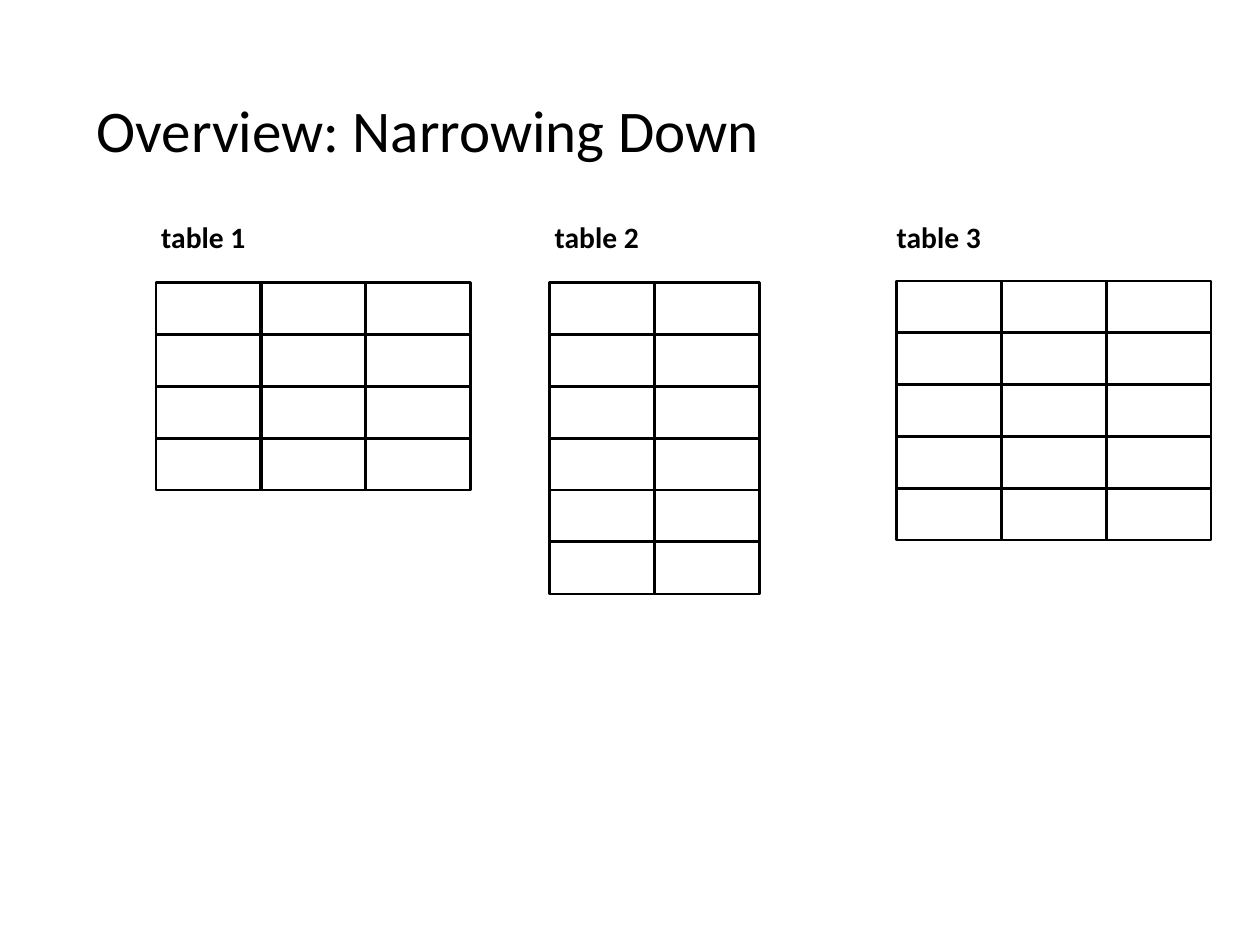
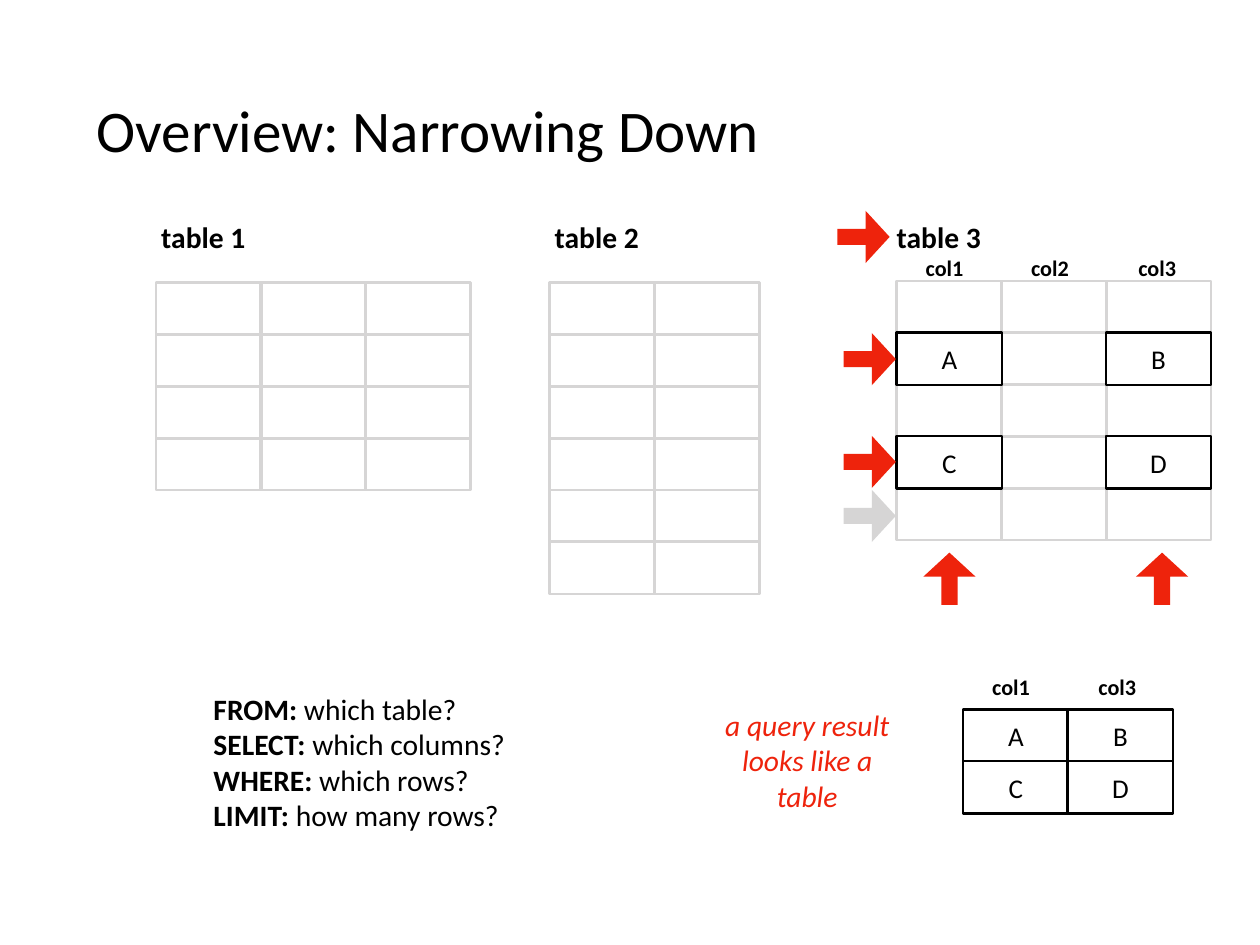
import itertools

import pptx
import pptx.dml.color
import pptx.enum.shapes
import pptx.enum.text
import pptx.util
from pptx.util import Inches

# Shared style
FONT = "Calibri"
COLORS = {"black": "000000", "white": "FFFFFF", "gray": "D6D5D5", "red": "EE230C"}
TITLE = "Overview: Narrowing Down"
CELL_SIZE = (1.19, 0.59)
COLUMN_STEP = 1.18
ROW_STEP = 1.17 / 2
LABEL_TOP = 2.42
ARROW_SIZE = 0.59
INSET = 0.06
LEFT = pptx.enum.text.PP_ALIGN.LEFT
CENTER = pptx.enum.text.PP_ALIGN.CENTER
TOP = pptx.enum.text.MSO_ANCHOR.TOP
MIDDLE = pptx.enum.text.MSO_ANCHOR.MIDDLE
RECTANGLE = pptx.enum.shapes.MSO_SHAPE.RECTANGLE
RIGHT_ARROW = pptx.enum.shapes.MSO_SHAPE.RIGHT_ARROW

# Source tables: label, label left, table left, table top, rows, columns
SOURCE_TABLES = [
    ("table 1", 1.76, 1.76, 3.19, 4, 3),
    ("table 2", 6.2, 6.2, 3.19, 6, 2),
    ("table 3", 10.06, 10.12, 3.17, 5, 3),
]

# Query content: values by (row, column)
SELECTED = {"table 3": {(1, 0): "A", (1, 2): "B", (3, 0): "C", (3, 2): "D"}}
RESULT = {(0, 0): "A", (0, 1): "B", (1, 0): "C", (1, 1): "D"}
CLAUSES = [
    ("FROM:", " which table?"),
    ("SELECT:", " which columns?"),
    ("WHERE:", " which rows?"),
    ("LIMIT:", " how many rows?"),
]
RESULT_NOTE = ["a query result", "looks like a table"]

# Column labels: text, left, top
COLUMN_LABELS = [
    ("col1", 10.34, 2.82), ("col2", 11.53, 2.82), ("col3", 12.74, 2.82),
    ("col1", 11.09, 7.55), ("col3", 12.29, 7.55),
]

# Arrows: left, top, rotation, colour
ARROWS = [
    (9.45, 2.38, 0, "red"),
    (10.42, 6.24, 270, "red"),
    (12.82, 6.24, 270, "red"),
    (9.52, 3.76, 0, "red"),
    (9.52, 4.92, 0, "red"),
    (9.52, 5.53, 0, "gray"),
]


def color_of(name):
    return pptx.dml.color.RGBColor.from_string(COLORS[name])


def fill_frame(frame, lines, size, align=LEFT, anchor=MIDDLE,
               color="black", italic=False):
    """Write lines, each a list of (text, bold) runs."""
    frame.word_wrap = True
    frame.auto_size = pptx.enum.text.MSO_AUTO_SIZE.NONE
    frame.vertical_anchor = anchor
    frame.margin_left = frame.margin_right = Inches(INSET)
    frame.margin_top = frame.margin_bottom = Inches(INSET)
    for index, line in enumerate(lines):
        paragraph = frame.add_paragraph() if index else frame.paragraphs[0]
        paragraph.alignment = align
        for text, bold in line:
            run = paragraph.add_run()
            run.text = text
            run.font.name = FONT
            run.font.size = pptx.util.Pt(size)
            run.font.bold = bold
            run.font.italic = italic
            run.font.color.rgb = color_of(color)


def add_text(slide, box, lines, size, **style):
    shape = slide.shapes.add_textbox(*map(Inches, box))
    fill_frame(shape.text_frame, lines, size, **style)


def add_shape(slide, kind, box, fill=None, line=None):
    shape = slide.shapes.add_shape(kind, *map(Inches, box))
    shape.shadow.inherit = False
    if fill:
        shape.fill.solid()
        shape.fill.fore_color.rgb = color_of(fill)
    else:
        shape.fill.background()
    if line:
        shape.line.color.rgb = color_of(line)
        shape.line.width = pptx.util.Pt(2)
    else:
        shape.line.fill.background()
    return shape


def add_grid(slide, left, top, rows, columns, line, values):
    """Draw empty cells first, so the black cells with values lie on top."""
    positions = itertools.product(range(rows), range(columns))
    for row, column in sorted(positions, key=lambda position: position in values):
        box = (left + column * COLUMN_STEP, top + row * ROW_STEP, *CELL_SIZE)
        if (row, column) in values:
            cell = add_shape(slide, RECTANGLE, box, "white", "black")
            fill_frame(cell.text_frame, [[(values[row, column], False)]], 22, CENTER)
        else:
            add_shape(slide, RECTANGLE, box, line=line)


def add_arrow(slide, left, top, rotation, color):
    box = (left, top, ARROW_SIZE, ARROW_SIZE)
    arrow = add_shape(slide, RIGHT_ARROW, box, color)
    arrow.adjustments[0] = 0.31
    arrow.adjustments[1] = 0.46
    arrow.rotation = rotation


def add_overview(presentation, line, selected):
    """Add a slide with the title and the three labelled source tables."""
    slide = presentation.slides.add_slide(presentation.slide_layouts[5])
    title = slide.shapes.title
    title.left, title.top, title.width, title.height = map(
        Inches, (1.03, 0.43, 11.94, 2.06))
    fill_frame(title.text_frame, [[(TITLE, False)]], 48)
    for label, label_left, left, top, rows, columns in SOURCE_TABLES:
        add_grid(slide, left, top, rows, columns, line, selected.get(label, {}))
        add_text(slide, (label_left, LABEL_TOP, 1.28, 0.5), [[(label, True)]], 24)
    return slide


def add_query(slide):
    """Add the clauses, the arrows and the query result."""
    clauses = [[(keyword, True), (question, False)] for keyword, question in CLAUSES]
    add_text(slide, (2.35, 7.74, 3.87, 1.67), clauses, 24, anchor=TOP)
    for arrow in ARROWS:
        add_arrow(slide, *arrow)
    add_grid(slide, 10.87, 8.01, 2, 2, "black", RESULT)
    for text, left, top in COLUMN_LABELS:
        add_text(slide, (left, top, 0.64, 0.4), [[(text, True)]], 18, align=CENTER)
    note = [[(text, False)] for text in RESULT_NOTE]
    add_text(slide, (8.1, 7.95, 2.02, 1.26), note, 24,
             align=CENTER, color="red", italic=True)


def main():
    presentation = pptx.Presentation()
    presentation.slide_width = Inches(14.22)
    presentation.slide_height = Inches(10.67)
    add_overview(presentation, "black", {})
    add_query(add_overview(presentation, "gray", SELECTED))
    presentation.save("out.pptx")


if __name__ == "__main__":
    main()
